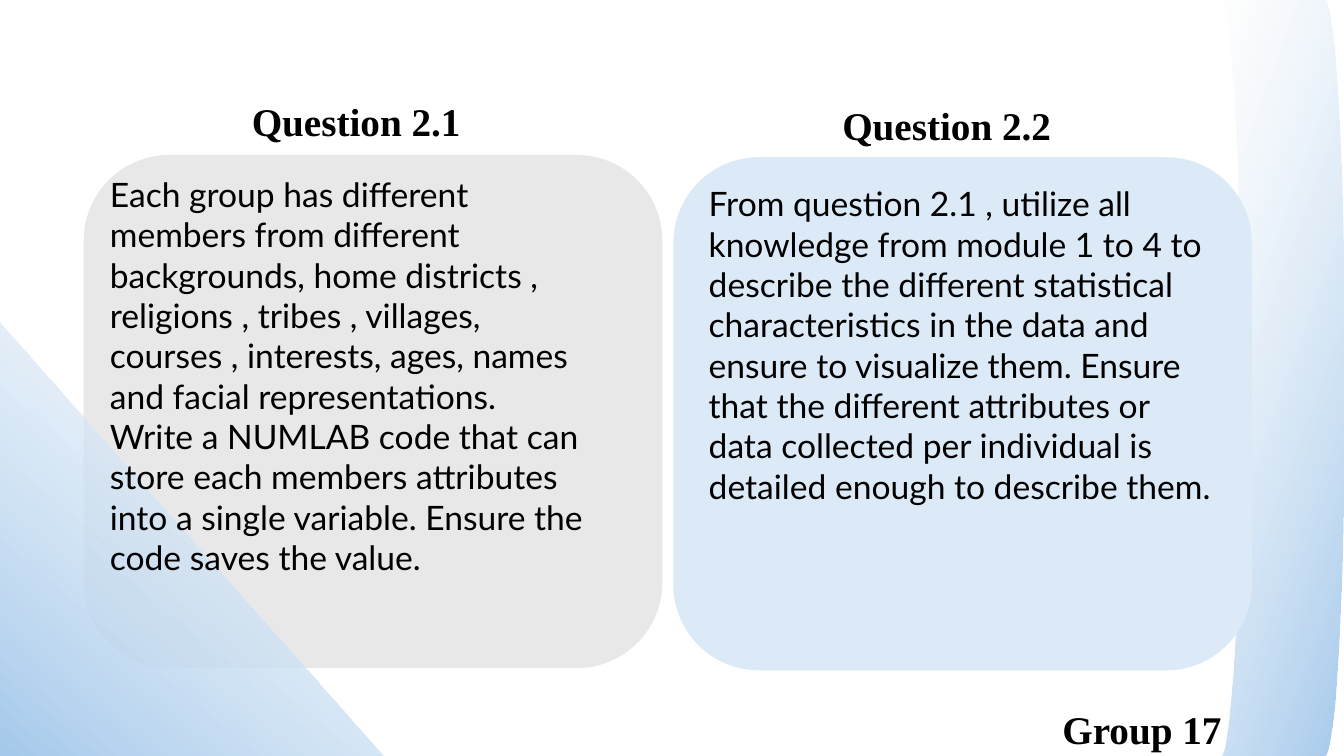
from dataclasses import dataclass

from lxml import etree
from pptx import Presentation
from pptx.dml.color import RGBColor
from pptx.enum.shapes import MSO_SHAPE
from pptx.enum.text import MSO_ANCHOR, MSO_AUTO_SIZE, PP_ALIGN
from pptx.oxml.ns import qn
from pptx.util import Pt

ROUNDED = MSO_SHAPE.ROUNDED_RECTANGLE
TRIANGLE = MSO_SHAPE.RIGHT_TRIANGLE
STORAGE = MSO_SHAPE.FLOWCHART_STORED_DATA
TOP = MSO_ANCHOR.TOP
NO_AUTOFIT = MSO_AUTO_SIZE.NONE
CENTER, LEFT = PP_ALIGN.CENTER, PP_ALIGN.LEFT

COMPARISON_LAYOUT = 4
CARD_SIZE = (413.3, 366.5)
HEADING_SIZE = (224, 39.6)
BODY_WIDTH = 373.5


@dataclass(frozen=True)
class Theme:
    text: str = "000000"
    grey_card: str = "E8E8E8"
    blue_card: str = "DCEAF7"
    fade_start: str = "FFFFFF"
    fade_end: str = "A6CAEC"
    fade_opacity: int = 50
    heading_font: str = "Times New Roman"
    body_font: str = "Lato"
    heading_size: int = 28
    body_size: int = 24


class SlideBuilder:
    def __init__(self, slide, theme):
        self.slide = slide
        self.theme = theme

    def shape(self, kind, left, top, width, height):
        shape = self.slide.shapes.add_shape(
            kind, Pt(left), Pt(top), Pt(width), Pt(height))
        shape.shadow.inherit = False
        shape.line.fill.background()
        return shape

    def card(self, left, top, color):
        card = self.shape(ROUNDED, left, top, *CARD_SIZE)
        card.fill.solid()
        card.fill.fore_color.rgb = RGBColor.from_string(color)

    def faded_shape(self, kind, box, clockwise_angle, rotation=0):
        shape = self.shape(kind, *box)
        shape.rotation = rotation
        shape.fill.gradient()
        shape.fill.gradient_angle = 360 - clockwise_angle
        colors = (self.theme.fade_start, self.theme.fade_end)
        for stop, color in zip(shape.fill.gradient_stops, colors):
            stop.color.rgb = RGBColor.from_string(color)
        first_color = next(shape._element.iter(qn("a:srgbClr")))
        alpha = etree.SubElement(first_color, qn("a:alpha"))
        alpha.set("val", str(self.theme.fade_opacity * 1000))

    def placeholder_text(self, index, box, paragraphs, font, size, bold, alignment):
        placeholder = next(item for item in self.slide.placeholders
                           if item.placeholder_format.idx == index)
        placeholder.left, placeholder.top, placeholder.width, placeholder.height = map(Pt, box)
        # Bring the text in front of the cards
        self.slide.shapes._spTree.append(placeholder._element)
        frame = placeholder.text_frame
        frame.text = "\n".join(paragraphs)
        frame.word_wrap = True
        frame.auto_size = NO_AUTOFIT
        frame.vertical_anchor = TOP
        for paragraph in frame.paragraphs:
            properties = paragraph._p.get_or_add_pPr()
            properties.set("marL", "0")
            properties.set("indent", "0")
            etree.SubElement(properties, qn("a:buNone"))
            paragraph.alignment = alignment
            paragraph.line_spacing = 1.0
            paragraph.space_before = paragraph.space_after = Pt(0)
            paragraph.font.name = font
            paragraph.font.size = Pt(size)
            paragraph.font.bold = bold
            paragraph.font.color.rgb = RGBColor.from_string(self.theme.text)

    def heading(self, index, left, top, text):
        self.placeholder_text(index, (left, top, *HEADING_SIZE), [text],
                              self.theme.heading_font, self.theme.heading_size, True, CENTER)

    def body(self, index, left, top, height, paragraphs):
        self.placeholder_text(index, (left, top, BODY_WIDTH, height), paragraphs,
                              self.theme.body_font, self.theme.body_size, False, LEFT)


def main():
    presentation = Presentation()
    presentation.slide_width, presentation.slide_height = Pt(960), Pt(540)
    slide = presentation.slides.add_slide(presentation.slide_layouts[COMPARISON_LAYOUT])
    theme = Theme()
    builder = SlideBuilder(slide, theme)

    # Cards and faded decoration, back to front
    builder.card(59.8, 110.7, theme.grey_card)
    builder.faded_shape(TRIANGLE, (0, 229.9, 274, 310.1), 130)
    builder.faded_shape(STORAGE, (872, 0, 88, 540), 200, rotation=180)
    builder.card(481, 112.3, theme.blue_card)

    # Group label
    builder.heading(0, 703.7, 500.4, "Group 17")

    # Left question
    builder.heading(1, 142.4, 66.2, "Question 2.1")
    builder.body(2, 71.3, 120.7, 298, [
        "Each group has different members from different backgrounds, "
        "home districts , religions , tribes , villages, courses , "
        "interests, ages, names and facial representations.",
        "Write a NUMLAB code that can store each members attributes "
        "into a single variable. Ensure the code saves the value.",
    ])

    # Right question
    builder.heading(3, 564.2, 68.8, "Question 2.2")
    builder.body(4, 499, 127.4, 269.3, [
        "From question 2.1 , utilize all knowledge from module 1 to 4 to "
        "describe the different statistical characteristics in the data and "
        "ensure to visualize them. Ensure that the different attributes or "
        "data collected per individual is detailed enough to describe them.",
    ])

    presentation.save("out.pptx")


if __name__ == "__main__":
    main()
